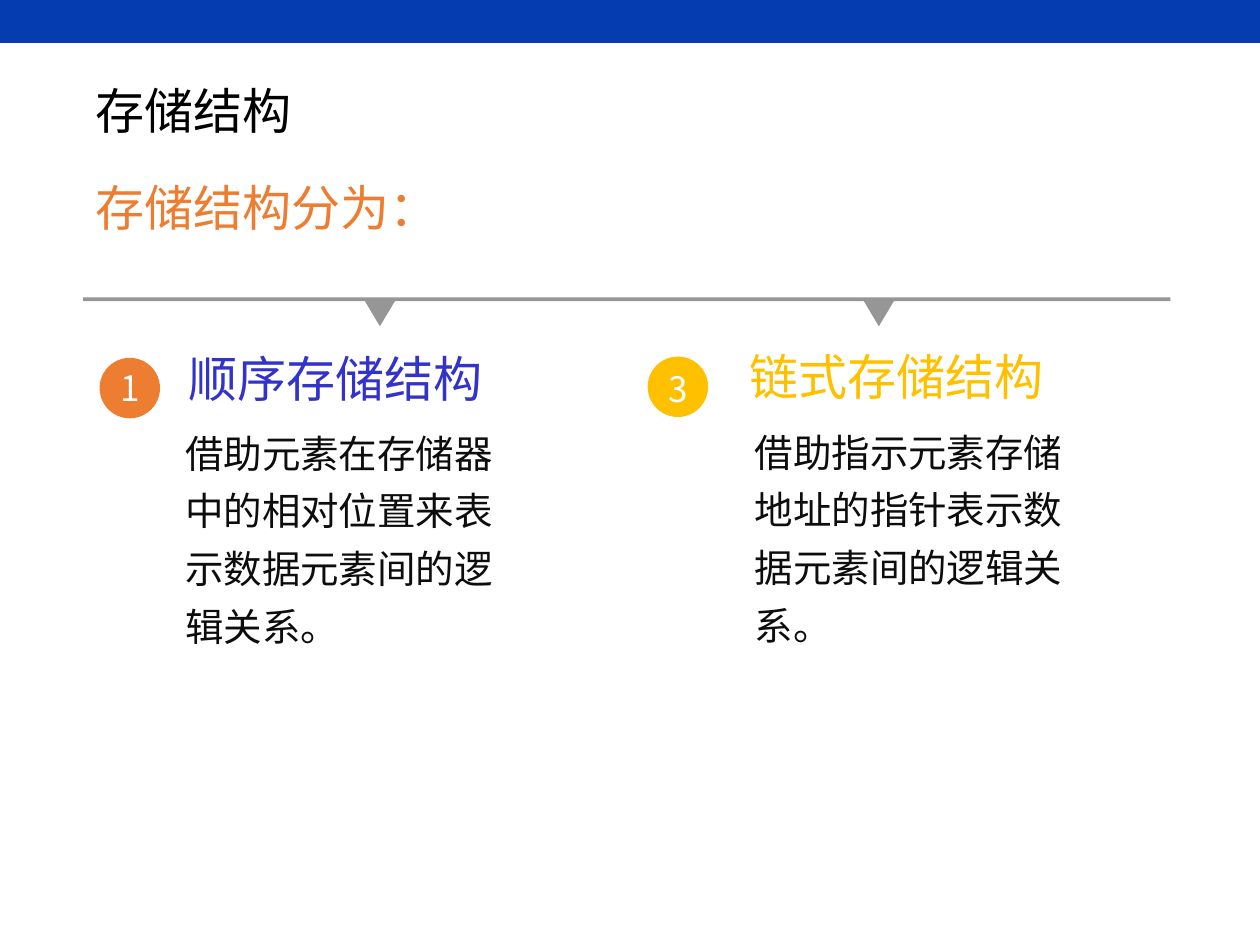
"""Build the slide comparing sequential and linked storage structures."""
from lxml.etree import SubElement
from pptx import Presentation
from pptx.dml.color import RGBColor
from pptx.enum.shapes import MSO_SHAPE as Shape
from pptx.enum.text import MSO_ANCHOR as Anchor, MSO_AUTO_SIZE as AutoSize, PP_ALIGN as Align
from pptx.oxml.ns import qn
from pptx.util import Inches, Pt

BLUE = RGBColor(0x05, 0x3C, 0xAF)
INDIGO = RGBColor(0x33, 0x33, 0xCC)
ORANGE = RGBColor(0xED, 0x7D, 0x31)
GOLD = RGBColor(0xFF, 0xC0, 0x00)
GRAY = RGBColor(0x96, 0x96, 0x96)
INK = RGBColor(0x0D, 0x0D, 0x0D)
BLACK = RGBColor(0x00, 0x00, 0x00)
WHITE = RGBColor(0xFF, 0xFF, 0xFF)
CJK = "Noto Sans CJK SC"


def add_block(kind, box, color):
    block = slide.shapes.add_shape(kind, *map(Inches, box))
    block.shadow.inherit = False
    block.fill.solid()
    block.fill.fore_color.rgb = color
    block.line.fill.background()


def add_label(text, box, size, color, font=CJK, inset=0, spacing=None,
              align=Align.LEFT, anchor=Anchor.MIDDLE, wrap=True):
    frame = slide.shapes.add_textbox(*map(Inches, box)).text_frame
    frame_format = {"word_wrap": wrap, "vertical_anchor": anchor,
                    "auto_size": AutoSize.NONE if wrap else AutoSize.SHAPE_TO_FIT_TEXT,
                    "margin_left": Inches(inset), "margin_right": Inches(inset),
                    "margin_top": Inches(inset / 2), "margin_bottom": Inches(inset / 2)}
    for name, value in frame_format.items():
        setattr(frame, name, value)
    paragraph = frame.paragraphs[0]
    paragraph.alignment = align
    paragraph.line_spacing = spacing
    run = paragraph.add_run()
    run.text = text
    run.font.size = Pt(size)
    run.font.name = font
    run.font.color.rgb = color
    SubElement(run.font._element, qn("a:ea")).set("typeface", CJK)


deck = Presentation()
deck.slide_width, deck.slide_height = Inches(10), Inches(7.5)
slide = deck.slides.add_slide(deck.slide_layouts[6])

add_block(Shape.RECTANGLE, (0, 0, 10, 0.34), BLUE)
add_label("存储结构", (0.66, 0.57, 2.55, 0.61), 28, BLACK, "Calibri", 0.1)
add_label("存储结构分为：", (0.66, 1.36, 2.95, 0.57), 28, ORANGE, "Calibri", 0.1,
          anchor=Anchor.TOP, wrap=False)

add_block(Shape.RECTANGLE, (0.66, 2.36, 8.63, 0.03), GRAY)
for pointer_left in (2.89, 6.85):
    add_block(Shape.FLOWCHART_MERGE, (pointer_left, 2.38, 0.25, 0.21), GRAY)

structures = [
    ("1", ORANGE, (0.79, 2.84, 0.48, 0.48), (0.79, 2.85, 0.48, 0.45),
     "顺序存储结构", INDIGO, (1.5, 2.87, 2.56, 0.31),
     "借助元素在存储器中的相对位置来表示数据元素间的逻辑关系。", (1.47, 3.32, 2.58, 2.04)),
    ("3", GOLD, (5.14, 2.83, 0.48, 0.48), (5.14, 2.87, 0.48, 0.43),
     "链式存储结构", GOLD, (5.95, 2.84, 2.54, 0.34),
     "借助指示元素存储地址的指针表示数据元素间的逻辑关系。", (5.99, 3.31, 2.51, 1.75)),
]
for (number, badge_color, badge_box, number_box,
     heading, heading_color, heading_box, detail, detail_box) in structures:
    add_label(heading, heading_box, 28, heading_color, spacing=0.9)
    add_label(detail, detail_box, 22, INK, spacing=1.25, anchor=Anchor.TOP)
    add_block(Shape.OVAL, badge_box, badge_color)
    add_label(number, number_box, 20, WHITE, align=Align.CENTER)

deck.save("out.pptx")
